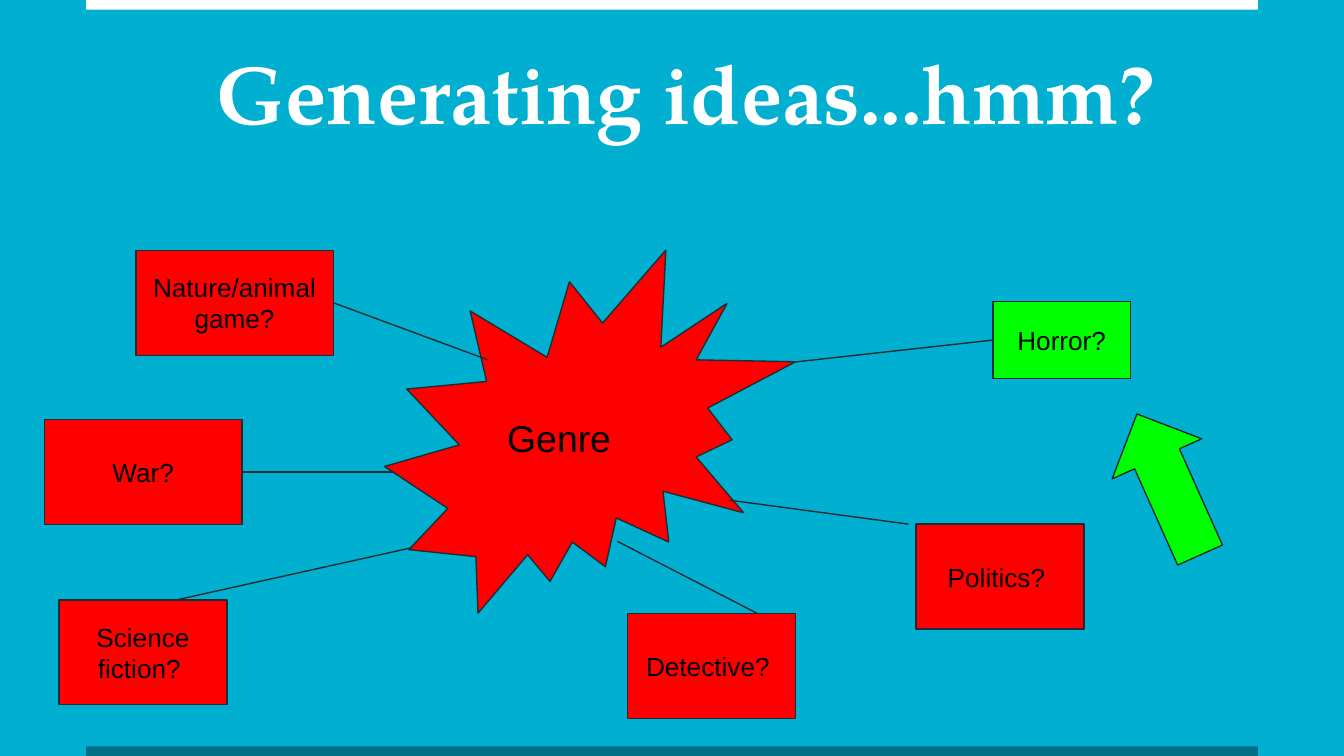
from dataclasses import dataclass
from typing import Optional

from lxml.etree import SubElement
from pptx import Presentation
from pptx.dml.color import RGBColor
from pptx.enum.shapes import MSO_CONNECTOR as Connector, MSO_SHAPE as Preset
from pptx.enum.text import MSO_ANCHOR as Anchor, MSO_AUTO_SIZE as AutoSize, PP_ALIGN as Align
from pptx.oxml.ns import qn
from pptx.util import Pt

COLORS = {
    "background": "01AFD1",
    "white": "FFFFFF",
    "footer": "006F85",
    "idea": "FF0000",
    "chosen": "00FF00",
    "outline": "1E2D31",
    "text": "000000",
}
INSET = 7.2
LEFT, RIGHT = 1, 3  # connection sites of a rectangle


@dataclass
class Box:
    left: float
    top: float
    width: float
    height: float


@dataclass
class Idea:
    text: str
    box: Box
    start: tuple[float, float]  # end of the link near the box
    end: tuple[float, float]  # end of the link at the genre burst
    site: Optional[int] = None  # side of the box that the link joins
    color: str = "idea"


WIDE, NARROW, TALL = 105.8, 90, 56.2
IDEAS = [
    Idea("Horror?", Box(532, 161.7, 73.6, 41), (532, 182.2), (426.2, 193.9), LEFT, "chosen"),
    Idea("Politics? ", Box(490.8, 280.8, NARROW, TALL), (486.7, 280.8), (391, 268)),
    Idea("Detective? ", Box(336.2, 328.8, NARROW, TALL), (405.4, 328.5), (330.7, 290)),
    Idea("Science fiction? ", Box(31.6, 321.4, NARROW, TALL), (94.5, 321.4), (220.3, 293.5)),
    Idea("Nature/animal game?", Box(72.8, 134.1, WIDE, TALL), (178.6, 162.2), (261.2, 192.7), RIGHT),
    Idea("War?", Box(23.8, 224.7, WIDE, TALL), (129.6, 252.8), (211, 252.8), RIGHT),
]


def rgb(name: str) -> RGBColor:
    return RGBColor.from_string(COLORS[name])


def set_text(shape, text: str, size: float, font: str = "Arial",
             color: str = "text", align: Align = Align.CENTER) -> None:
    frame = shape.text_frame
    frame.word_wrap = True
    frame.auto_size = AutoSize.NONE
    frame.vertical_anchor = Anchor.MIDDLE
    frame.margin_left = frame.margin_right = Pt(INSET)
    frame.margin_top = frame.margin_bottom = Pt(INSET)
    para = frame.paragraphs[0]
    para.text = text
    para.alignment = align
    para.font.size = Pt(size)
    para.font.name = font
    para.font.color.rgb = rgb(color)


def add_shape(page, preset: Preset, box: Box, fill: str, outlined: bool = True):
    shape = page.shapes.add_shape(
        preset, Pt(box.left), Pt(box.top), Pt(box.width), Pt(box.height))
    shape.shadow.inherit = False
    shape.fill.solid()
    shape.fill.fore_color.rgb = rgb(fill)
    if outlined:
        shape.line.color.rgb = rgb("outline")
        shape.line.width = Pt(0.75)
    else:
        shape.line.fill.background()
    return shape


def add_idea(page, idea: Idea) -> None:
    shape = add_shape(page, Preset.RECTANGLE, idea.box, idea.color)
    set_text(shape, idea.text, 14)
    link = page.shapes.add_connector(
        Connector.STRAIGHT, *(Pt(value) for value in idea.start + idea.end))
    link.line.color.rgb = rgb("outline")
    link.line.width = Pt(0.75)
    SubElement(link._element.spPr, qn("a:effectLst"))
    if idea.site is not None:
        link.begin_connect(shape, idea.site)


def main() -> None:
    deck = Presentation()
    deck.slide_width, deck.slide_height = Pt(720), Pt(405)
    page = deck.slides.add_slide(deck.slide_layouts[5])
    page.background.fill.solid()
    page.background.fill.fore_color.rgb = rgb("background")

    # Bands at the top and bottom edges
    for top, color in ((0, "white"), (399.8, "footer")):
        add_shape(page, Preset.RECTANGLE, Box(46.1, top, 627.8, 5.2), color, outlined=False)

    # Title
    title = page.shapes.title
    title.left, title.top, title.width, title.height = Pt(56.9), Pt(13.7), Pt(621.4), Pt(69.1)
    set_text(title, "Generating ideas...hmm?", 44.2, "TeX Gyre Pagella", "white")
    title.text_frame.vertical_anchor = Anchor.BOTTOM
    title.text_frame.paragraphs[0].font.bold = True

    # Genre burst in the middle
    burst = add_shape(page, Preset.EXPLOSION2, Box(206, 134, 220.2, 194.5), "idea")
    set_text(burst, "Genre", 20, align=Align.LEFT)
    burst.text_frame.margin_left = Pt(11)

    # Ideas with their links to the burst
    for idea in IDEAS:
        add_idea(page, idea)

    # Arrow to the chosen idea
    arrow = add_shape(page, Preset.RIGHT_ARROW, Box(584.6, 233.3, 82.8, 52.6), "chosen")
    arrow.rotation = 245.9

    deck.save("out.pptx")


if __name__ == "__main__":
    main()
